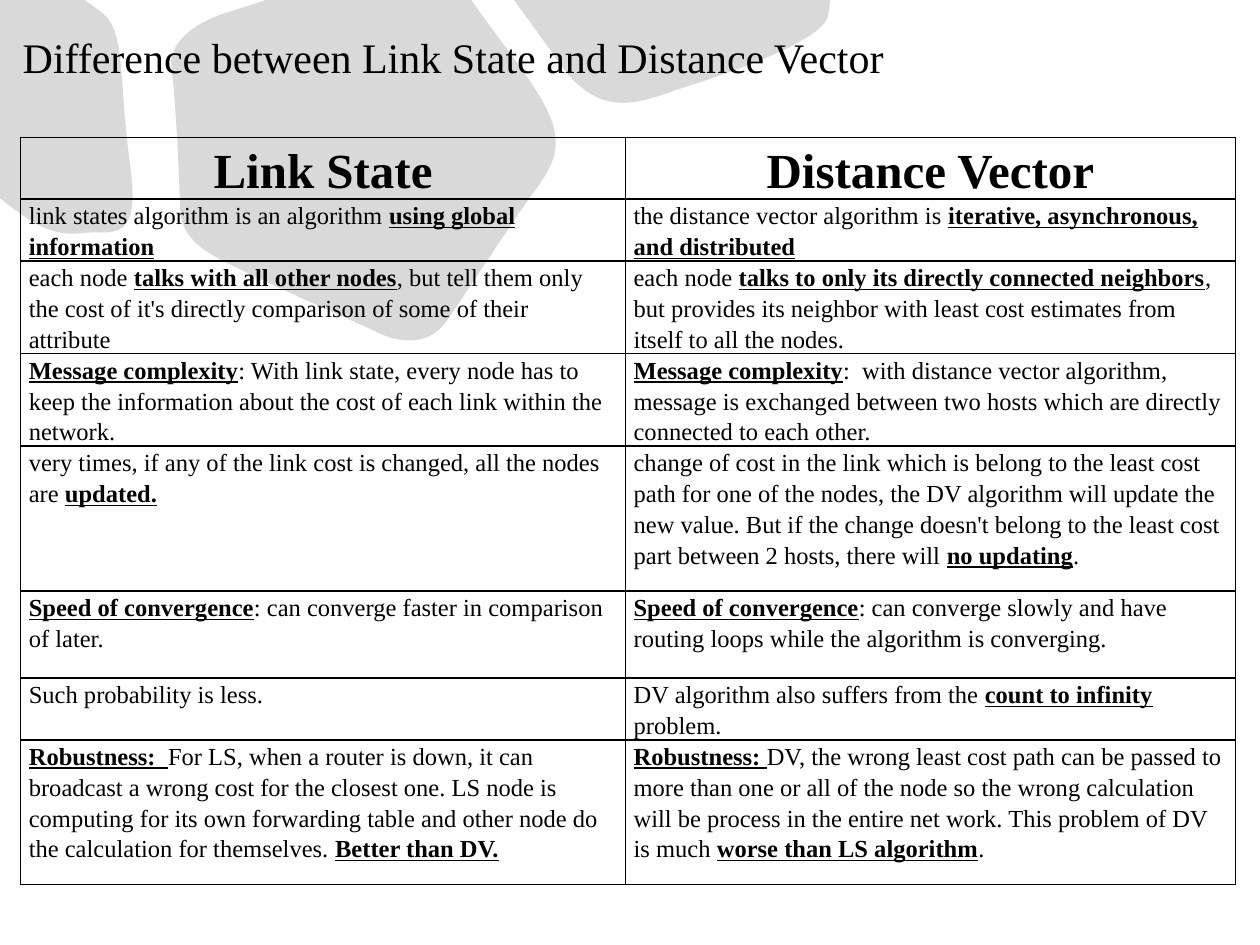
from dataclasses import dataclass
from itertools import chain

from lxml.etree import SubElement
from pptx import Presentation
from pptx.dml.color import RGBColor
from pptx.enum.text import MSO_ANCHOR, PP_ALIGN
from pptx.oxml import parse_xml
from pptx.oxml.ns import nsdecls, qn
from pptx.util import Inches, Pt


@dataclass(frozen=True)
class Theme:
    font: str = "Times New Roman"
    ink: str = "000000"
    stone: str = "D9D9D9"
    title_size: int = 24
    heading_size: int = 28
    body_size: int = 14
    line_spacing: float = 1.14
    border_width: int = 1
    cell_margin: float = 4.7


THEME = Theme()
GRID = Inches(0.01)
TABLE_LEFT = Pt(11.8)
COLUMNS = (480, 484)
ROWS = (41, 49, 73, 73, 115, 69, 49, 115)

STONES = (
    ((408, 0), (
        (418, 14, 430, 30, 444, 50),
        (478, 98, 510, 80, 544, 69),
        (582, 57, 653, 32, 657, 13),
        (658, 10, 658, 6, 659, 0),
    )),
    ((82, 11), (
        (79, 8, 74, 5, 67, 0),
        (-2, 0),
        (-2, 156),
        (17, 170, 37, 189, 65, 185),
        (87, 182, 113, 197, 103, 129),
        (94, 62, 100, 27, 82, 11),
    )),
    ((374, 0), (
        (211, 0),
        (200, 4, 189, 7, 180, 10),
        (145, 21, 134, 40, 136, 53),
        (140, 86, 142, 137, 143, 166),
        (144, 191, 165, 201, 185, 211),
        (202, 220, 278, 254, 296, 262),
        (296, 262, 334, 285, 355, 254),
        (377, 222, 402, 183, 421, 156),
        (439, 132, 449, 116, 433, 85),
        (424, 66, 392, 26, 374, 0),
    )),
)

COMPARISON = (
    ("Link State", "Distance Vector"),
    ("link states algorithm is an algorithm *using global information*",
     "the distance vector algorithm is *iterative, asynchronous, and distributed*"),
    ("each node *talks with all other nodes*, but tell them only the cost of it's "
     "directly comparison of some of their attribute",
     "each node *talks to only its directly connected neighbors*, but provides its "
     "neighbor with least cost estimates from itself to all the nodes."),
    ("*Message complexity*: With link state, every node has to keep the information "
     "about the cost of each link within the network.",
     "*Message complexity*:  with distance vector algorithm, message is exchanged "
     "between two hosts which are directly connected to each other."),
    ("very times, if any of the link cost is changed, all the nodes are *updated.*",
     "change of cost in the link which is belong to the least cost path for one of "
     "the nodes, the DV algorithm will update the new value. But if the change "
     "doesn't belong to the least cost part between 2 hosts, there will *no updating*."),
    ("*Speed of convergence*: can converge faster in comparison of later.",
     "*Speed of convergence*: can converge slowly and have routing loops while the "
     "algorithm is converging."),
    ("Such probability is less.",
     "DV algorithm also suffers from the *count to infinity *problem."),
    ("*Robustness:  *For LS, when a router is down, it can broadcast a wrong cost for "
     "the closest one. LS node is computing for its own forwarding table and other "
     "node do the calculation for themselves. *Better than DV.*",
     "*Robustness: *DV, the wrong least cost path can be passed to more than one or "
     "all of the node so the wrong calculation will be process in the entire net "
     "work. This problem of DV is much *worse than LS algorithm*."),
)


def apply_format(target, values):
    for attribute, value in values.items():
        setattr(target, attribute, value)


def add_run(paragraph, wording, size, **emphasis):
    run = paragraph.add_run()
    run.text = wording
    apply_format(run.font, {"name": THEME.font, "size": Pt(size), **emphasis})
    run.font.color.rgb = RGBColor.from_string(THEME.ink)


def round_corners(stone, segments):
    edges = iter(list(stone._element.iter(qn("a:lnTo"))))
    for segment in segments:
        edge = next(edges)
        if len(segment) == 6:
            curve = parse_xml(f'<a:cubicBezTo {nsdecls("a")}/>')
            edge.addprevious(curve)
            for part in (edge, next(edges), next(edges)):
                curve.append(part[0])
                part.getparent().remove(part)


def add_stone(slide, start, segments):
    numbers = list(chain.from_iterable(segments))
    builder = slide.shapes.build_freeform(*start, scale=GRID)
    builder.add_line_segments(list(zip(numbers[0::2], numbers[1::2])), close=True)
    stone = builder.convert_to_shape()
    round_corners(stone, segments)
    stone.shadow.inherit = False
    stone.fill.solid()
    stone.fill.fore_color.rgb = RGBColor.from_string(THEME.stone)
    stone.line.fill.background()


def place_title(slide, wording):
    title = slide.shapes.title
    apply_format(title, {"left": 8 * GRID, "top": 20 * GRID,
                         "width": 882 * GRID, "height": 50 * GRID})
    apply_format(title.text_frame, {"word_wrap": True, "vertical_anchor": MSO_ANCHOR.TOP})
    paragraph = title.text_frame.paragraphs[0]
    paragraph.alignment = PP_ALIGN.LEFT
    add_run(paragraph, wording, THEME.title_size, bold=False)
    slide.shapes._spTree.append(title._element)


def add_borders(cell):
    properties = cell._tc.get_or_add_tcPr()
    for position, side in enumerate(("lnL", "lnR", "lnT", "lnB")):
        border = parse_xml(f'<a:{side} {nsdecls("a")} w="{Pt(THEME.border_width)}"/>')
        fill = SubElement(border, qn("a:solidFill"))
        SubElement(fill, qn("a:srgbClr"), val=THEME.ink)
        properties.insert(position, border)


def fill_cell(cell, wording, is_heading):
    side_margin = Pt(THEME.cell_margin)
    apply_format(cell, {"margin_left": side_margin, "margin_right": side_margin,
                        "margin_top": 0, "margin_bottom": 0})
    cell.fill.background()
    add_borders(cell)
    paragraph = cell.text_frame.paragraphs[0]
    apply_format(paragraph, {
        "alignment": PP_ALIGN.CENTER if is_heading else PP_ALIGN.LEFT,
        "line_spacing": THEME.line_spacing,
    })
    size = THEME.heading_size if is_heading else THEME.body_size
    for index, part in enumerate(wording.split("*")):
        if part:
            stressed = index % 2 == 1
            add_run(paragraph, part, size, bold=is_heading or stressed, underline=stressed)


def add_comparison(slide):
    table = slide.shapes.add_table(
        len(ROWS), len(COLUMNS), TABLE_LEFT, 109 * GRID,
        sum(COLUMNS) * GRID, sum(ROWS) * GRID).table
    apply_format(table, {"first_row": False, "horz_banding": False})
    for column, width in zip(table.columns, COLUMNS):
        column.width = width * GRID
    for index, (row, height, wordings) in enumerate(zip(table.rows, ROWS, COMPARISON)):
        row.height = height * GRID
        for cell, wording in zip(row.cells, wordings):
            fill_cell(cell, wording, index == 0)


def main():
    presentation = Presentation()
    apply_format(presentation, {"slide_width": 1000 * GRID, "slide_height": 750 * GRID})
    slide = presentation.slides.add_slide(presentation.slide_layouts[5])
    for start, segments in STONES:
        add_stone(slide, start, segments)
    add_comparison(slide)
    place_title(slide, "Difference between Link State and Distance Vector")
    presentation.save("out.pptx")


if __name__ == "__main__":
    main()
